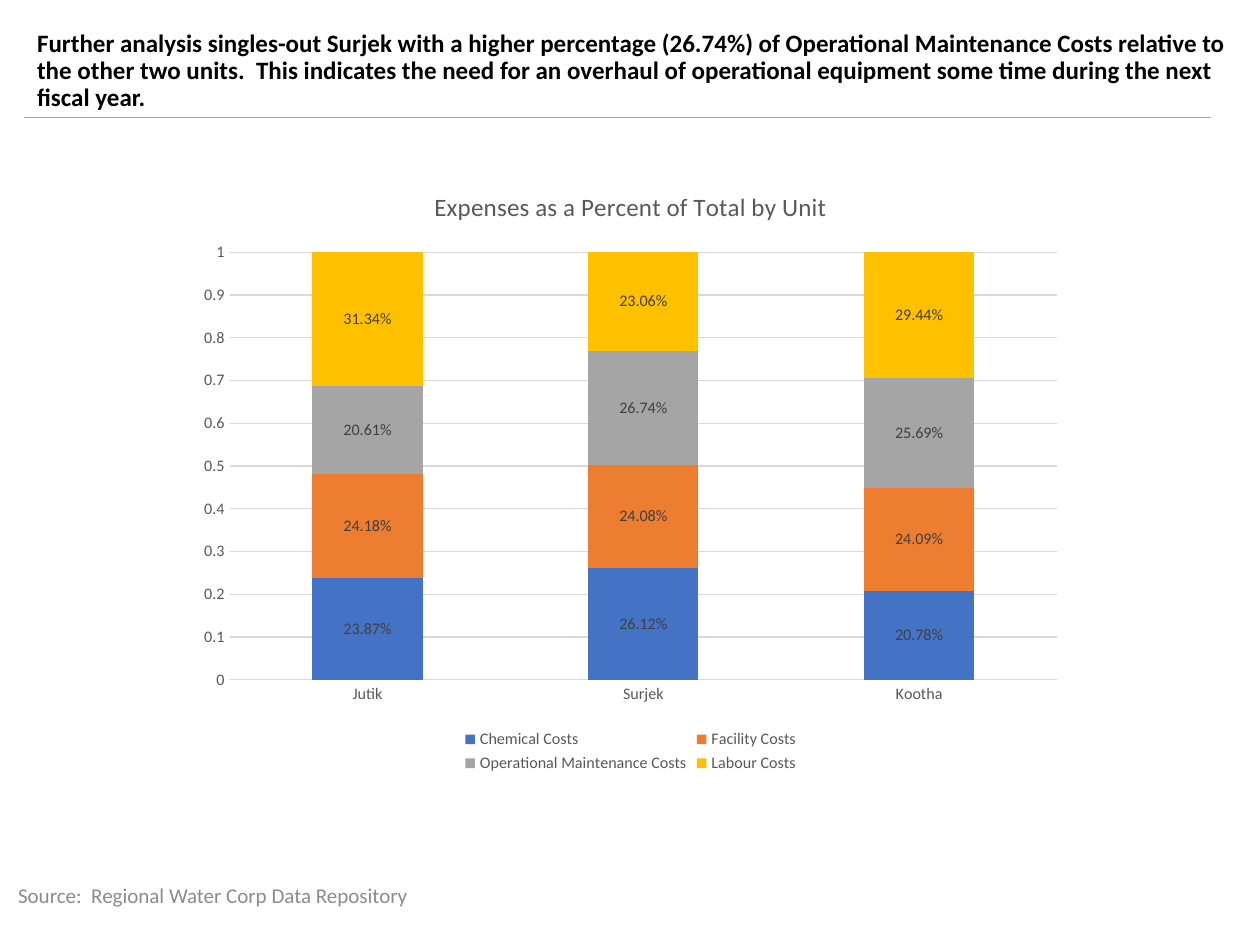
import pptx
import pptx.util
import pptx.chart.data
import pptx.dml.color
import pptx.enum.chart
import pptx.enum.shapes
import pptx.enum.text
import pptx.oxml

# Content
HEADLINE = ("Further analysis singles-out Surjek with a higher percentage (26.74%) of "
            "Operational Maintenance Costs relative to the other two units.  This indicates "
            "the need for an overhaul of operational equipment some time during the next "
            "fiscal year.")
SOURCE = "Source:  Regional Water Corp Data Repository"
CHART_TITLE = "Expenses as a Percent of Total by Unit"
UNITS = ["Jutik", "Surjek", "Kootha"]
COSTS = [
    ("Chemical Costs", "4472C4", (0.2387, 0.2612, 0.2078)),
    ("Facility Costs", "ED7D31", (0.2418, 0.2408, 0.2409)),
    ("Operational Maintenance Costs", "A5A5A5", (0.2061, 0.2674, 0.2569)),
    ("Labour Costs", "FFC000", (0.3134, 0.2306, 0.2944)),
]

# Layout in inches: left, top, width, height
W, H = 9.8, 7.35
MARGIN, RULE_Y, RULE_END = 0.19, 0.91, 9.42
HEADLINE_BOX = (MARGIN, 0.2, W - MARGIN - 0.05, RULE_Y - 0.2)
CHART_BOX = (1.45, 1.29, 6.91, 4.76)
SOURCE_BOX = (0, 6.77, 3.31, 0.39)

Inches, Pt = pptx.util.Inches, pptx.util.Pt
ALIGN = pptx.enum.text.PP_ALIGN


def rgb(value):
    return pptx.dml.color.RGBColor.from_string(value)


def assign(obj, values):
    for name, value in values.items():
        setattr(obj, name, value)


def style_font(font, size, color, bold=False):
    assign(font, {"name": "Calibri", "size": Pt(size), "bold": bold})
    font.color.rgb = rgb(color)


def style_line(line, color, width):
    line.color.rgb = rgb(color)
    line.width = Pt(width)


def add_text(s, box, text, size, color, bold=False, align=ALIGN.LEFT, spacing=1.0, wrap=True):
    tf = s.shapes.add_textbox(*map(Inches, box)).text_frame
    assign(tf, {"word_wrap": wrap, "vertical_anchor": pptx.enum.text.MSO_ANCHOR.MIDDLE})
    p = tf.paragraphs[0]
    assign(p, {"alignment": align, "line_spacing": spacing})
    r = p.add_run()
    r.text = text
    style_font(r.font, size, color, bold)


prs = pptx.Presentation()
assign(prs, {"slide_width": Inches(W), "slide_height": Inches(H)})
s = prs.slides.add_slide(prs.slide_layouts[6])

# Headline and the rule under it
add_text(s, HEADLINE_BOX, HEADLINE, 14, "000000", bold=True, spacing=0.9)
rule = s.shapes.add_connector(pptx.enum.shapes.MSO_CONNECTOR.STRAIGHT,
                              *map(Inches, (MARGIN, RULE_Y, RULE_END, RULE_Y)))
style_line(rule.line, "A5A5A5", 0.5)
rule._element.spPr.append(pptx.oxml.parse_xml(
    '<a:effectLst xmlns:a="http://schemas.openxmlformats.org/drawingml/2006/main"/>'))

# Stacked cost shares
data = pptx.chart.data.CategoryChartData(number_format="0.00%")
data.categories = UNITS
for name, _, shares in COSTS:
    data.add_series(name, shares)
chart = s.shapes.add_chart(pptx.enum.chart.XL_CHART_TYPE.COLUMN_STACKED,
                           *map(Inches, CHART_BOX), data).chart
style_font(chart.font, 10, "000000")

tf = chart.chart_title.text_frame
tf.text = CHART_TITLE
style_font(tf.paragraphs[0].runs[0].font, 14, "595959")
chart.chart_title.include_in_layout = False

chart.has_legend = True
assign(chart.legend, {"position": pptx.enum.chart.XL_LEGEND_POSITION.BOTTOM,
                      "include_in_layout": False})
style_font(chart.legend.font, 9, "595959")

plot = chart.plots[0]
assign(plot, {"gap_width": 150, "overlap": 100, "vary_by_categories": False})
for series, (_, color, _) in zip(plot.series, COSTS):
    series.format.fill.solid()
    series.format.fill.fore_color.rgb = rgb(color)
    labels = series.data_labels
    assign(labels, {"show_value": True, "number_format": "0.00%",
                    "number_format_is_linked": False,
                    "position": pptx.enum.chart.XL_LABEL_POSITION.CENTER})
    style_font(labels.font, 9, "404040")

# Axes
NO_TICK = pptx.enum.chart.XL_TICK_MARK.NONE
for axis in (chart.category_axis, chart.value_axis):
    assign(axis, {"major_tick_mark": NO_TICK, "minor_tick_mark": NO_TICK})
    style_font(axis.tick_labels.font, 9, "595959")
style_line(chart.category_axis.format.line, "D9D9D9", 0.75)
shares_axis = chart.value_axis
assign(shares_axis, {"minimum_scale": 0, "maximum_scale": 1, "major_unit": 0.1,
                     "has_major_gridlines": True})
assign(shares_axis.tick_labels, {"number_format": "General", "number_format_is_linked": False})
shares_axis.format.line.fill.background()
style_line(shares_axis.major_gridlines.format.line, "D9D9D9", 0.75)

# Source note
add_text(s, SOURCE_BOX, SOURCE, 11.8, "8C8C8C", align=ALIGN.CENTER, wrap=False)

prs.save("out.pptx")
